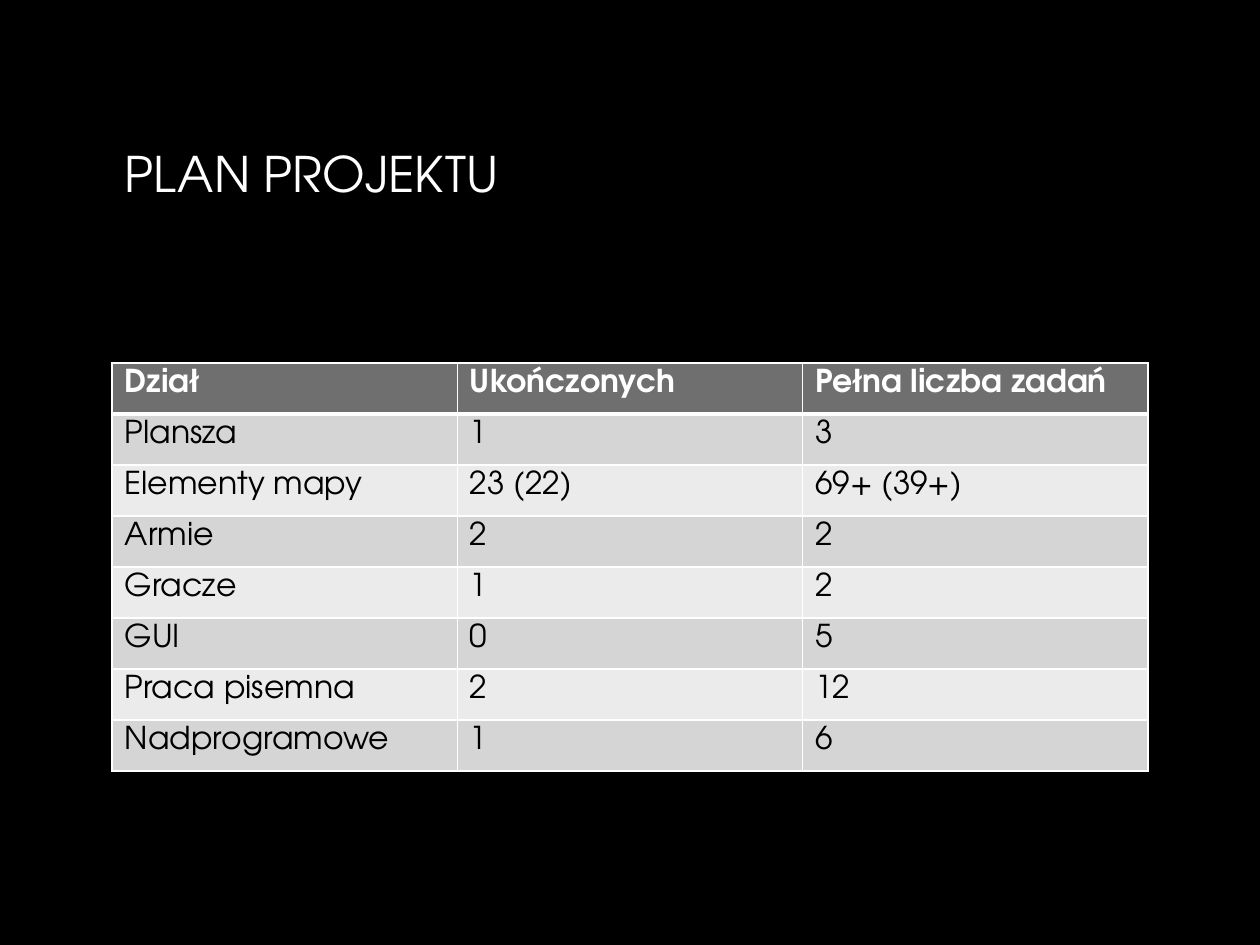
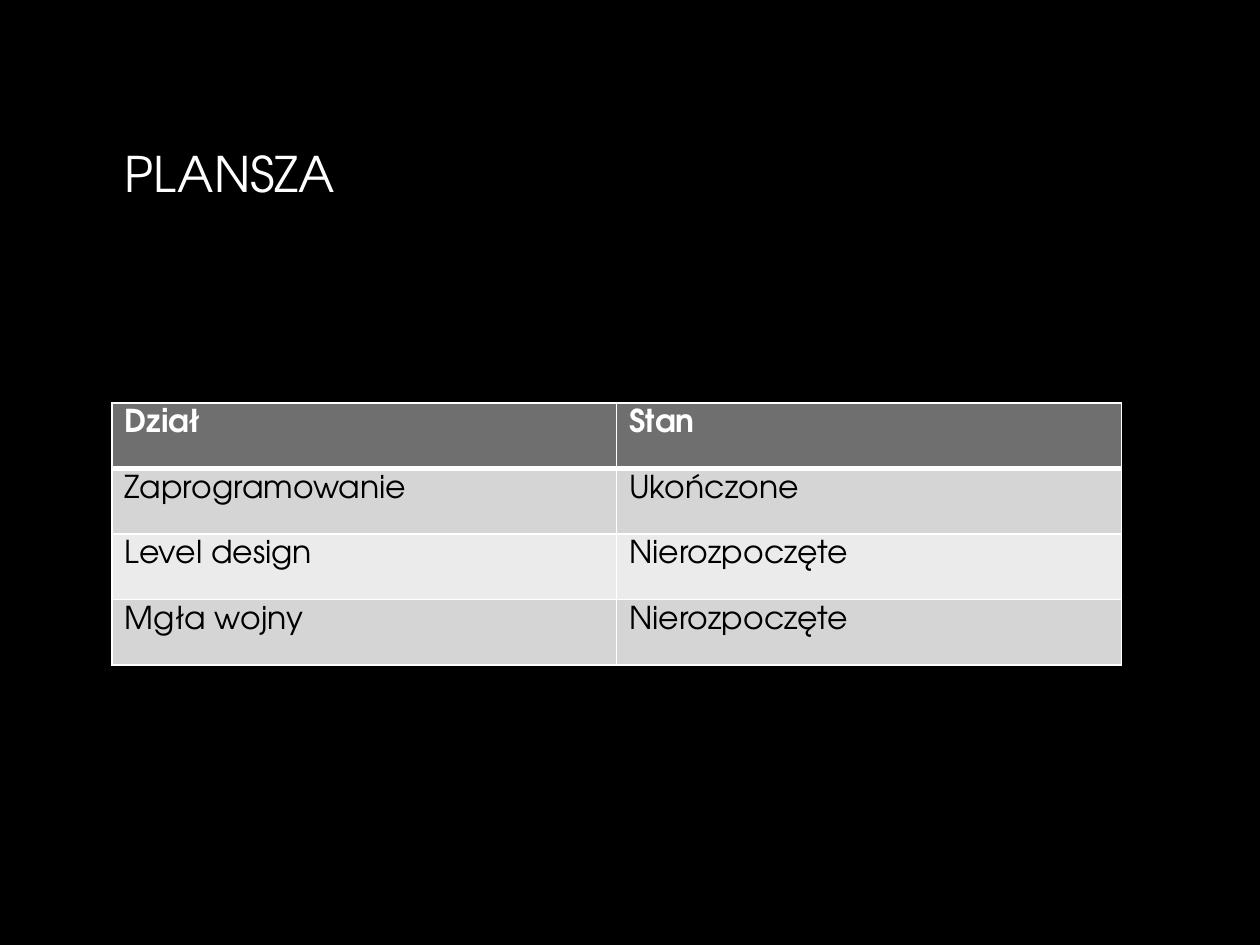
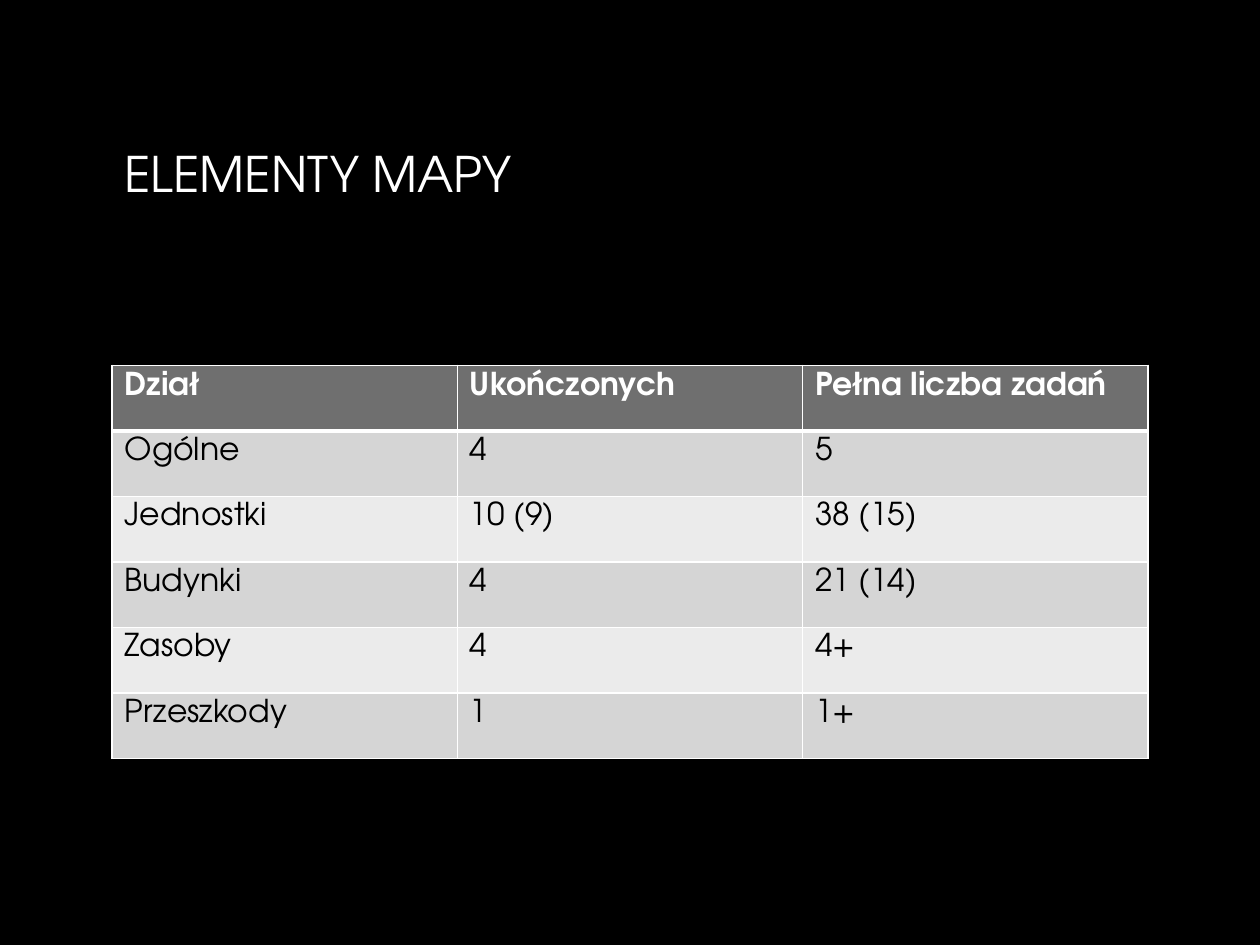
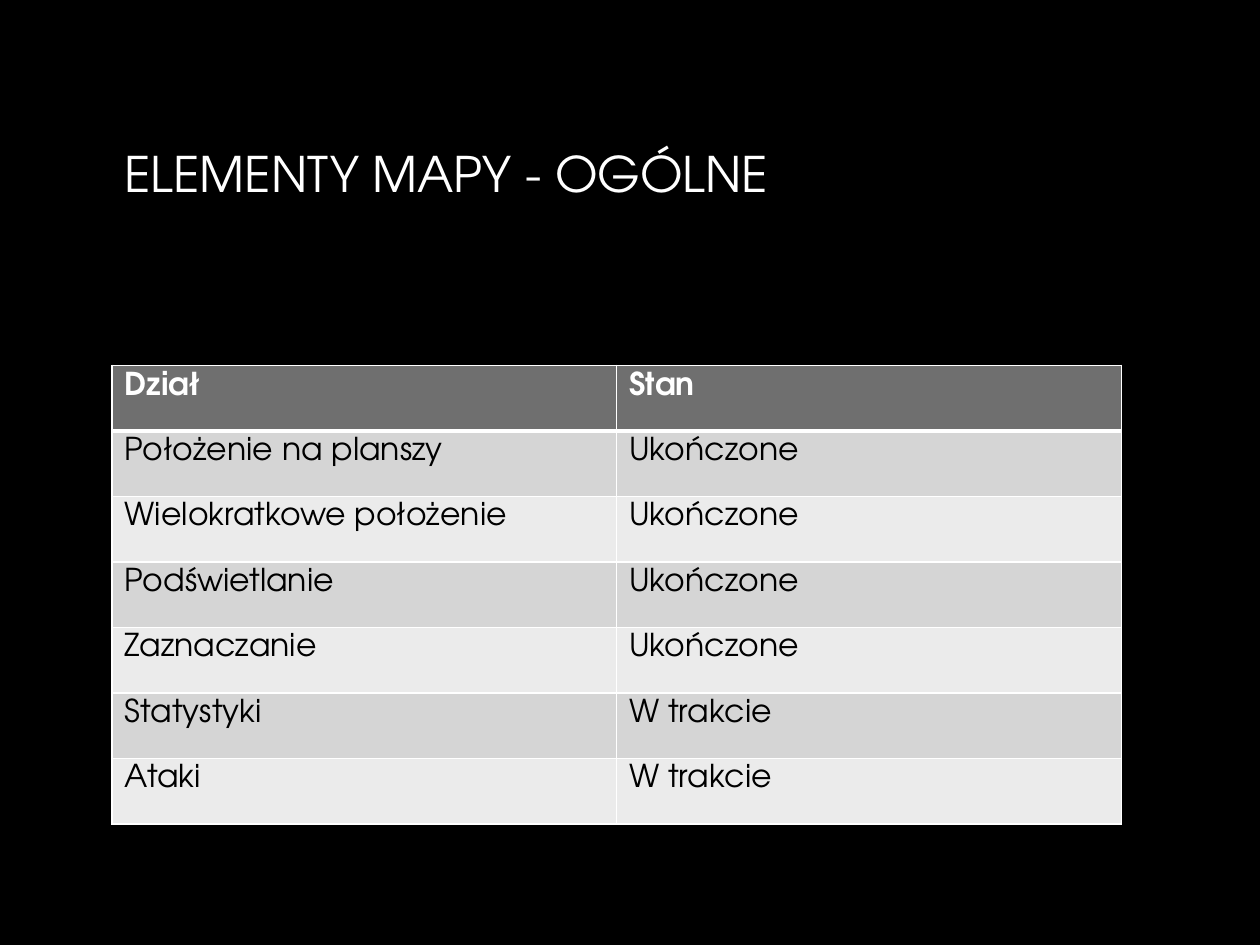
from dataclasses import dataclass
from lxml import etree
from pptx import Presentation
from pptx.dml.color import RGBColor
from pptx.enum.text import MSO_ANCHOR, PP_ALIGN
from pptx.oxml.ns import qn
from pptx.util import Inches, Pt

LEFT = PP_ALIGN.LEFT
MIDDLE = MSO_ANCHOR.MIDDLE
TITLE_ONLY = 5

COUNTS = ("Dział", "Ukończonych", "Pełna liczba zadań")
STATES = ("Dział", "Stan")
DONE, TODO, ACTIVE = "Ukończone", "Nierozpoczęte", "W trakcie"

SLIDES = [
    dict(title="PLAN PROJEKTU", top=2.88, width=8.22, height=3.24, rows=[
        COUNTS,
        ("Plansza", "1", "3"),
        ("Elementy mapy", "23 (22)", "69+ (39+)"),
        ("Armie", "2", "2"),
        ("Gracze", "1", "2"),
        ("GUI", "0", "5"),
        ("Praca pisemna", "2", "12"),
        ("Nadprogramowe", "1", "6"),
    ]),
    dict(title="PLANSZA", top=3.2, width=8.01, height=2.08, rows=[
        STATES,
        ("Zaprogramowanie", DONE),
        ("Level design", TODO),
        ("Mgła wojny", TODO),
    ]),
    dict(title="ELEMENTY MAPY", top=2.9, width=8.22, height=3.12, rows=[
        COUNTS,
        ("Ogólne", "4", "5"),
        ("Jednostki", "10 (9)", "38 (15)"),
        ("Budynki", "4", "21 (14)"),
        ("Zasoby", "4", "4+"),
        ("Przeszkody", "1", "1+"),
    ]),
    dict(title="ELEMENTY MAPY - OGÓLNE", top=2.9, width=8.01, height=3.64, rows=[
        STATES,
        ("Położenie na planszy", DONE),
        ("Wielokratkowe położenie", DONE),
        ("Podświetlanie", DONE),
        ("Zaznaczanie", DONE),
        ("Statystyki", ACTIVE),
        ("Ataki", ACTIVE),
    ]),
]


@dataclass(frozen=True)
class Theme:
    font: str = "TeX Gyre Adventor"
    black: str = "000000"
    white: str = "FFFFFF"
    shade: str = "BFBFBF"
    head: str = "6F6F6F"
    bands: tuple = ("D5D5D5", "EBEBEB")
    title: int = 28
    body: int = 18
    thin: int = 1
    thick: int = 3
    left: float = 0.89


THEME = Theme()


def color(code):
    return RGBColor.from_string(code)


def paint(fill, code):
    fill.solid()
    fill.fore_color.rgb = color(code)


def write(frame, text, size=THEME.body, ink=THEME.black, fade=None, bold=False):
    para = frame.paragraphs[0]
    para.alignment = LEFT
    run = para.add_run()
    run.text = text
    font = run.font
    font.name, font.size, font.bold = THEME.font, Pt(size), bold
    if fade:
        font.fill.gradient()
        font.fill.gradient_angle = 270
        for stop, code in zip(font.fill.gradient_stops, (ink, fade)):
            stop.color.rgb = color(code)
    else:
        paint(font.fill, ink)


def border(cell, **sides):
    props = cell._tc.get_or_add_tcPr()
    for side in ("L", "R", "T", "B"):
        width = Pt(sides.get(side, THEME.thin))
        line = etree.SubElement(props, qn("a:ln" + side), w=str(width))
        fill = etree.SubElement(line, qn("a:solidFill"))
        etree.SubElement(fill, qn("a:srgbClr"), val=THEME.white)


def add_title(slide, text):
    title = slide.shapes.title
    title.left, title.top = Inches(THEME.left), Inches(0.65)
    title.width, title.height = Inches(8.21), Inches(1.44)
    title.text_frame.vertical_anchor = MIDDLE
    title.text_frame.word_wrap = True
    write(title.text_frame, text, size=THEME.title, ink=THEME.white, fade=THEME.shade)


def add_grid(slide, rows, top, width, height):
    count = len(rows[0])
    table = slide.shapes.add_table(
        len(rows), count, Inches(THEME.left), Inches(top), Inches(width), Inches(height)
    ).table
    for col in table.columns:
        col.width = Inches(width / count)
    for i, row in enumerate(rows):
        table.rows[i].height = Inches(height / len(rows))
        head = i == 0
        edge = {0: {"B": THEME.thick}, 1: {"T": THEME.thick}}.get(i, {})
        for j, text in enumerate(row):
            cell = table.cell(i, j)
            border(cell, **edge)
            paint(cell.fill, THEME.head if head else THEME.bands[(i - 1) % 2])
            write(cell.text_frame, text, ink=THEME.white if head else THEME.black, bold=head)


deck = Presentation()
deck.slide_width, deck.slide_height = Inches(10), Inches(7.5)
paint(deck.slide_master.background.fill, THEME.black)
for item in SLIDES:
    slide = deck.slides.add_slide(deck.slide_layouts[TITLE_ONLY])
    add_title(slide, item["title"])
    add_grid(slide, item["rows"], item["top"], item["width"], item["height"])
deck.save("out.pptx")
